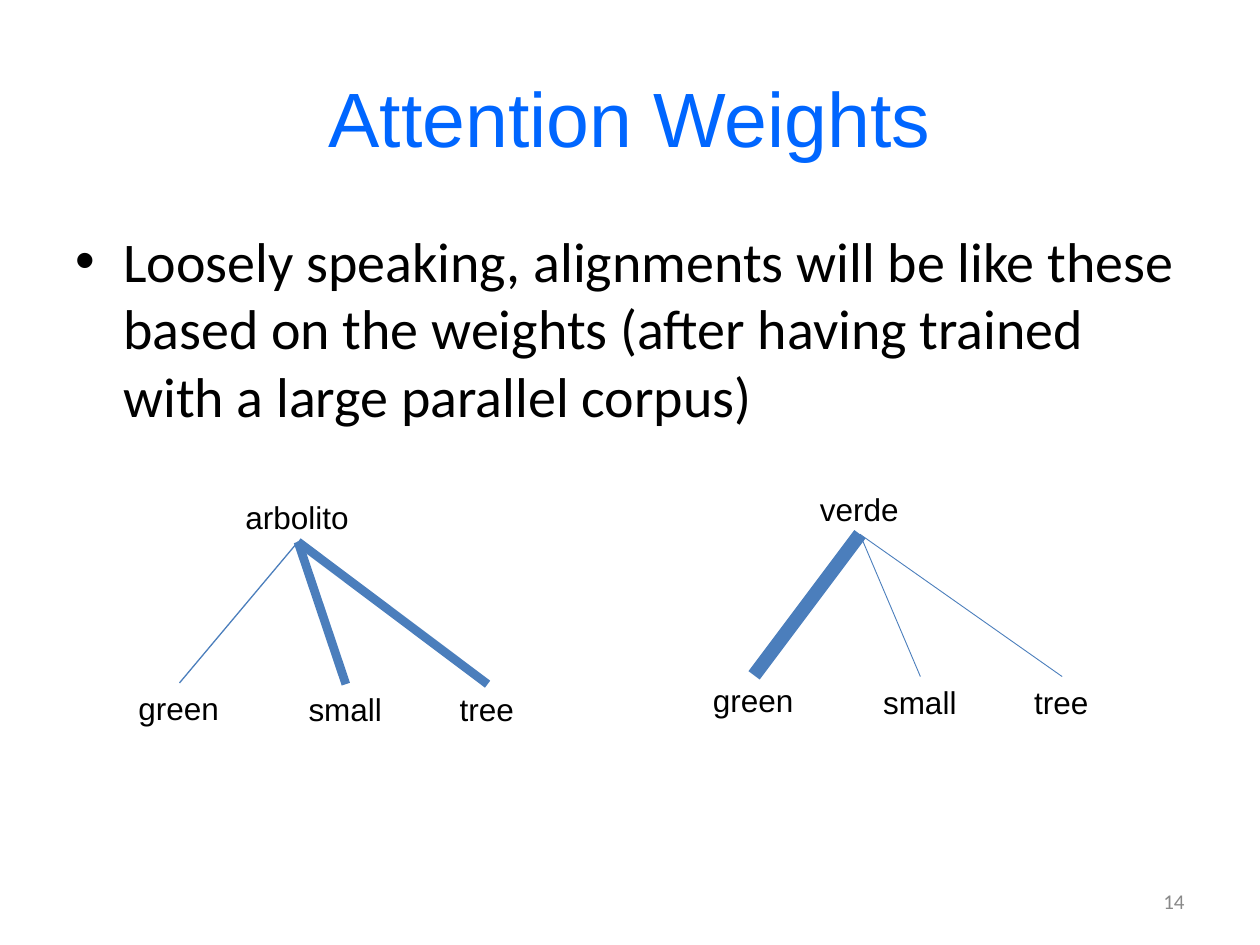
from dataclasses import dataclass

from lxml import etree
from pptx import Presentation
from pptx.dml.color import RGBColor
from pptx.enum.shapes import MSO_CONNECTOR
from pptx.enum.text import MSO_ANCHOR, MSO_AUTO_SIZE, PP_ALIGN
from pptx.oxml.ns import qn
from pptx.util import Emu, Pt

PX = 9144  # 100 px to the inch
LEFT, CENTER, RIGHT = PP_ALIGN.LEFT, PP_ALIGN.CENTER, PP_ALIGN.RIGHT
TOP, MIDDLE = MSO_ANCHOR.TOP, MSO_ANCHOR.MIDDLE
FIT_SHAPE = MSO_AUTO_SIZE.SHAPE_TO_FIT_TEXT
STRAIGHT = MSO_CONNECTOR.STRAIGHT
TOP_SIDE, BOTTOM_SIDE = 0, 2
COLORS = {"title": "0066FF", "text": "000000", "number": "898989", "link": "4B7EBC"}
WORD_HEIGHT = 40
BULLET_INDENT = 38


@dataclass(frozen=True)
class Style:
    size: int
    font: str
    color: str
    align: PP_ALIGN = LEFT
    anchor: MSO_ANCHOR = TOP


@dataclass(frozen=True)
class Word:
    text: str
    left: int
    top: int
    width: int


@dataclass(frozen=True)
class Alignment:
    source: Word
    left: int
    top: int
    weights: tuple[float, ...]


TITLE = Style(44, "Arial", "title", CENTER, MIDDLE)
BODY = Style(32, "Calibri", "text")
NUMBER = Style(12, "Calibri", "number", RIGHT, MIDDLE)
WORD = Style(18, "Arial", "text")

# Target words, placed relative to the corner of each alignment
TARGETS = (
    Word("green", 0, 152, 85),
    Word("small", 135, 153, 79),
    Word("tree", 255, 153, 64),
)
ALIGNMENTS = (
    Alignment(Word("arbolito", 85, 0, 103), 100, 390, (0.75, 5, 5)),
    Alignment(Word("verde", 85, 0, 83), 556, 384, (8, 0.5, 0.5)),
)


def px(value: int) -> Emu:
    return Emu(value * PX)


def add_text(page, text: str, left: int, top: int, width: int, height: int,
             style: Style, wrap: bool = True):
    box = page.shapes.add_textbox(px(left), px(top), px(width), px(height))
    frame = box.text_frame
    frame_format = {"word_wrap": wrap, "vertical_anchor": style.anchor}
    if not wrap:
        frame_format["auto_size"] = FIT_SHAPE
    for name, value in frame_format.items():
        setattr(frame, name, value)
    para = frame.paragraphs[0]
    para.alignment = style.align
    span = para.add_run()
    span.text = text
    for name, value in {"size": Pt(style.size), "name": style.font}.items():
        setattr(span.font, name, value)
    span.font.color.rgb = RGBColor.from_string(COLORS[style.color])
    return box


def add_bullet(box) -> None:
    properties = box.text_frame.paragraphs[0]._p.get_or_add_pPr()
    properties.set("marL", str(px(BULLET_INDENT)))
    properties.set("indent", str(-px(BULLET_INDENT)))
    etree.SubElement(properties, qn("a:buFont"), typeface="Arial")
    etree.SubElement(properties, qn("a:buChar"), char="•")


def add_word(page, word: Word, left: int, top: int):
    return add_text(page, word.text, left + word.left, top + word.top,
                    word.width, WORD_HEIGHT, WORD, wrap=False)


def add_link(page, source, target, weight: float) -> None:
    link = page.shapes.add_connector(STRAIGHT, 0, 0, 0, 0)
    link.begin_connect(source, BOTTOM_SIDE)
    link.end_connect(target, TOP_SIDE)
    link.line.width = Pt(weight)
    link.line.color.rgb = RGBColor.from_string(COLORS["link"])
    etree.SubElement(link._element.spPr, qn("a:effectLst"))


def add_alignment(page, alignment: Alignment) -> None:
    corner = (alignment.left, alignment.top)
    source = add_word(page, alignment.source, *corner)
    for word, weight in zip(TARGETS, alignment.weights):
        add_link(page, source, add_word(page, word, *corner), weight)


def main() -> None:
    deck = Presentation()
    deck.slide_width, deck.slide_height = px(1000), px(750)
    page = deck.slides.add_slide(deck.slide_layouts[6])

    # Title, bullet and slide number
    add_text(page, "Attention Weights", 50, 30, 900, 125, TITLE)
    add_bullet(add_text(
        page,
        "Loosely speaking, alignments will be like these based on the weights "
        "(after having trained with a large parallel corpus)",
        50, 175, 900, 495, BODY))
    add_text(page, "14", 717, 695, 233, 40, NUMBER)

    # Word alignments, with line width showing the weight
    for alignment in ALIGNMENTS:
        add_alignment(page, alignment)

    deck.save("out.pptx")


if __name__ == "__main__":
    main()
